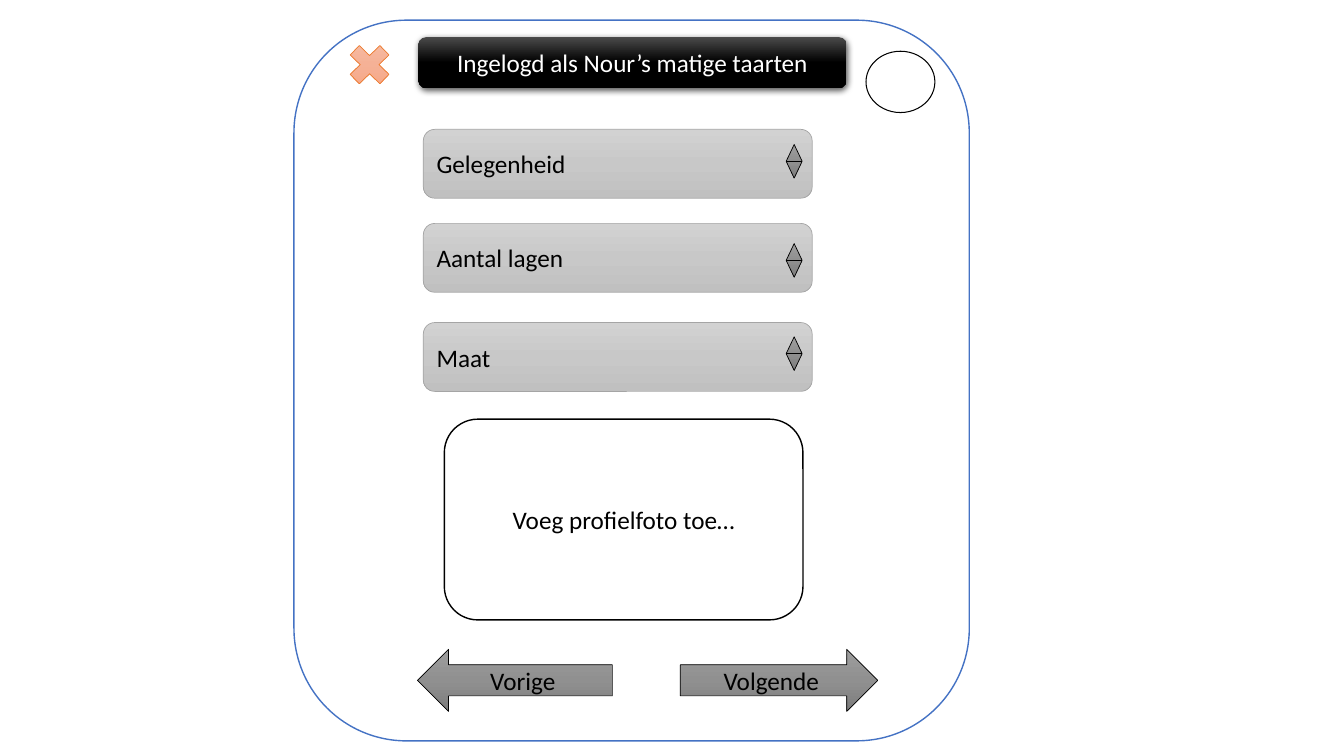
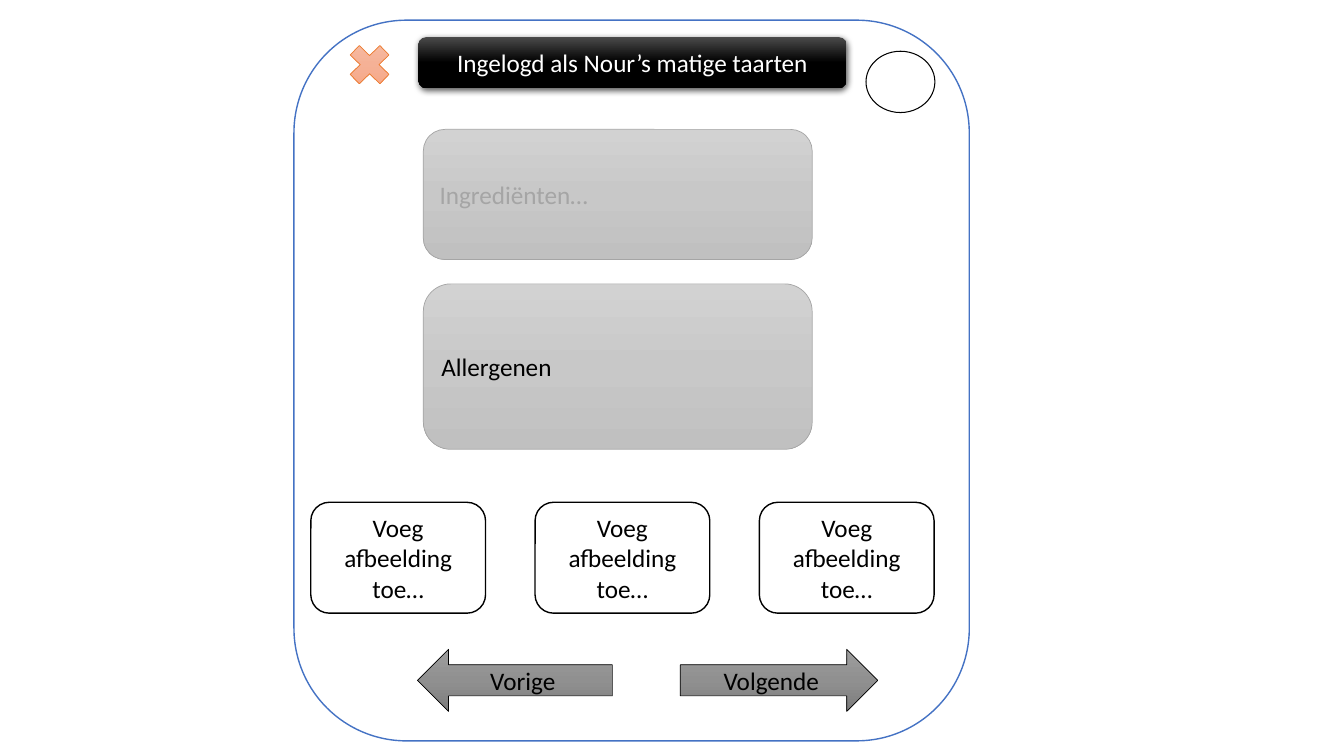
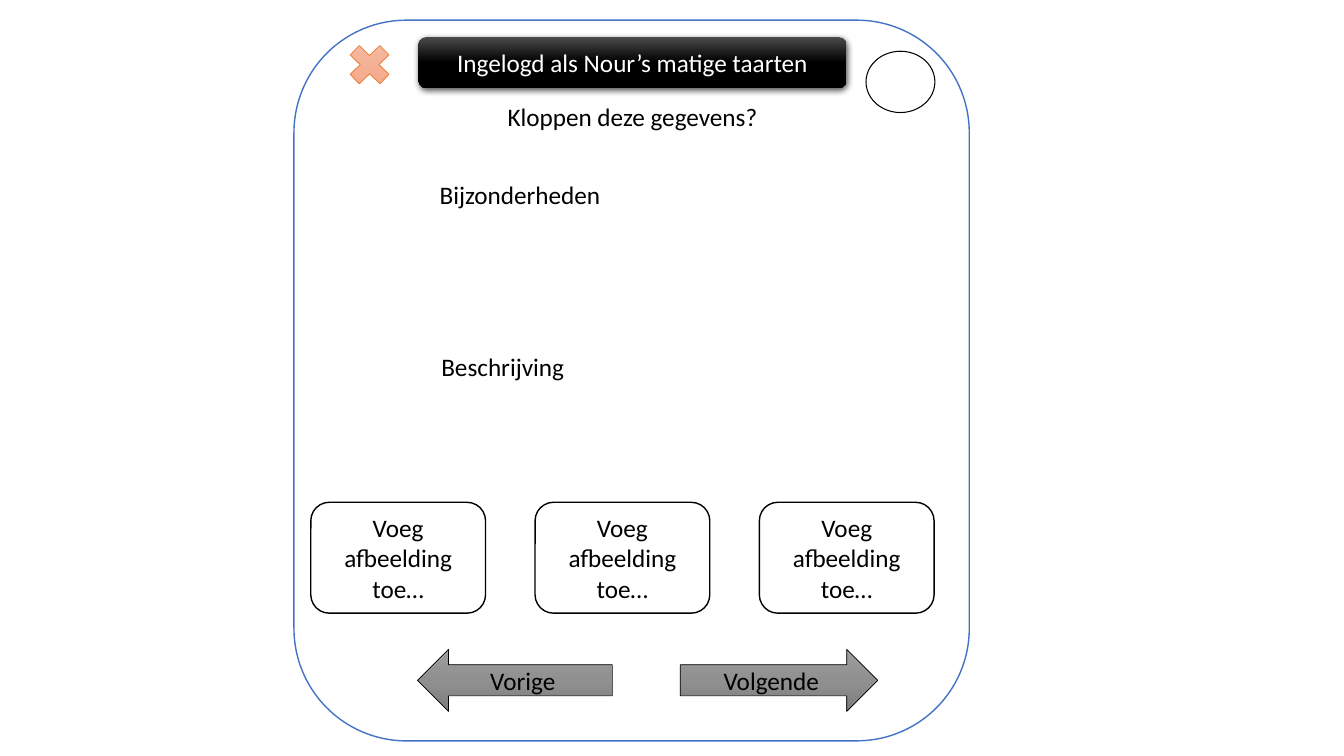
import copy
from dataclasses import dataclass

import lxml.etree
import pptx
import pptx.dml.color
import pptx.enum.shapes
import pptx.enum.text
import pptx.oxml.ns
import pptx.util

SHAPE = pptx.enum.shapes.MSO_SHAPE
ALIGN = pptx.enum.text.PP_ALIGN
QN = pptx.oxml.ns.qn

# Grid: square cells, 160 columns by 90 rows
COLUMNS, ROWS = 160, 90
CELL = pptx.util.Inches(7.5) / ROWS


@dataclass(frozen=True)
class Theme:
    font: str = "Calibri"
    size: int = 18
    black: str = "000000"
    white: str = "FFFFFF"
    hint: str = "A5A5A5"
    frame: str = "4472C4"
    accent: str = "ED7D31"
    header_fill: tuple = ("4B4B4B", "000000", "000000")
    field_fill: tuple = ("D2D2D2", "C8C8C8", "C0C0C0")
    button_fill: tuple = ("9D9D9D", "909090", "7C7C7C")
    close_fill: tuple = ("F7BDA5", "F5B196", "F8A582")
    hairline: float = 0.5
    thin: float = 0.75
    outline: float = 1


THEME = Theme()
FIELD_LEFT, FIELD_WIDTH = 50.4, 46.3
FIELD_TOP = 15.4


def rgb(value):
    return pptx.dml.color.RGBColor.from_string(value)


# Basic elements
def paint(shape, fill):
    """Fill with nothing, one colour, or a downward three-colour gradient."""
    if fill is None:
        shape.fill.background()
    elif isinstance(fill, str):
        shape.fill.solid()
        shape.fill.fore_color.rgb = rgb(fill)
    else:
        shape.fill.gradient()
        shape.fill.gradient_angle = 270
        stops = shape.element.spPr.find(".//" + QN("a:gsLst"))
        stops.append(copy.deepcopy(stops[-1]))
        for stop, colour, position in zip(shape.fill.gradient_stops, fill, (0, 0.5, 1)):
            stop.color.rgb = rgb(colour)
            stop.position = position


def write(shape, text, colour, align):
    frame = shape.text_frame
    frame.word_wrap = True
    frame.vertical_anchor = pptx.enum.text.MSO_ANCHOR.MIDDLE
    paragraph = frame.paragraphs[0]
    paragraph.alignment = align
    run = paragraph.add_run()
    run.text = text
    run.font.name = THEME.font
    run.font.size = pptx.util.Pt(THEME.size)
    run.font.color.rgb = rgb(colour)


def block(slide, kind, cells, fill=None, line=None, width=THEME.outline,
          text=None, colour=THEME.black, align=ALIGN.CENTER):
    """Place a shape by its left, top, width and height in grid cells."""
    shape = slide.shapes.add_shape(kind, *(round(n * CELL) for n in cells))
    shape.shadow.inherit = False
    paint(shape, fill)
    if line:
        shape.line.color.rgb = rgb(line)
        shape.line.width = pptx.util.Pt(width)
    else:
        shape.line.fill.background()
    if text:
        write(shape, text, colour, align)
    return shape


def cast_shadow(shape):
    effects = shape.element.spPr.find(QN("a:effectLst"))
    shadow = lxml.etree.SubElement(
        effects, QN("a:outerShdw"), blurRad=str(pptx.util.Pt(4.5)),
        dist=str(pptx.util.Pt(1.5)), dir="5400000", algn="ctr", rotWithShape="0")
    tint = lxml.etree.SubElement(shadow, QN("a:srgbClr"), val=THEME.black)
    lxml.etree.SubElement(tint, QN("a:alpha"), val="63000")


# Form elements
def field(slide, text, top, height, colour=THEME.black, filled=True):
    block(slide, SHAPE.ROUNDED_RECTANGLE, (FIELD_LEFT, top, FIELD_WIDTH, height),
          THEME.field_fill if filled else None, THEME.hint if filled else None,
          THEME.hairline, text, colour, ALIGN.LEFT)


def dropdown(slide, text, top, sorter_top):
    field(slide, text, top, 8.2)
    block(slide, SHAPE.FLOWCHART_SORT, (93.6, sorter_top, 1.9, 4),
          THEME.button_fill, THEME.black, THEME.hairline)


def upload_box(slide, text, cells):
    block(slide, SHAPE.ROUNDED_RECTANGLE, cells, THEME.white, THEME.black, text=text)


def image_uploads(slide):
    for place in range(3):
        upload_box(slide, "Voeg afbeelding toe…", (37 + 26.7 * place, 59.8, 20.8, 13.2))


# Parts every screen shares
def start_screen(deck):
    slide = deck.slides.add_slide(deck.slide_layouts[6])
    block(slide, SHAPE.ROUNDED_RECTANGLE, (35, 2.4, 80.4, 85.8), THEME.white, THEME.frame)
    header = block(slide, SHAPE.ROUNDED_RECTANGLE, (49.8, 4.4, 51, 6.1), THEME.header_fill,
                   text="Ingelogd als Nour’s matige taarten", colour=THEME.white)
    cast_shadow(header)
    return slide


def add_controls(slide):
    for kind, left, width, text in ((SHAPE.RIGHT_ARROW, 81, 23.5, "Volgende"),
                                    (SHAPE.LEFT_ARROW, 49.7, 23.2, "Vorige")):
        block(slide, kind, (left, 77.3, width, 7.4), THEME.button_fill,
              THEME.black, THEME.hairline, text)
    # Profile circle and close button
    block(slide, SHAPE.OVAL, (103.1, 6.1, 8.2, 7.3), line=THEME.black, width=THEME.thin)
    block(slide, SHAPE.MATH_MULTIPLY, (40.6, 4.4, 6.8, 6.6), THEME.close_fill,
          THEME.accent, THEME.hairline)


# Screens
def cake_screen(deck):
    slide = start_screen(deck)
    for text, top, sorter_top in (("Gelegenheid", FIELD_TOP, 17.2),
                                  ("Aantal lagen", 26.6, 29),
                                  ("Maat", 38.4, 40.1)):
        dropdown(slide, text, top, sorter_top)
    upload_box(slide, "Voeg profielfoto toe…", (52.9, 49.9, 42.7, 23.9))
    add_controls(slide)


def detail_screen(deck, upper, lower, upper_colour=THEME.black, filled=True, question=None):
    slide = start_screen(deck)
    field(slide, upper, FIELD_TOP, 15.5, upper_colour, filled)
    field(slide, lower, 33.8, 19.7, filled=filled)
    image_uploads(slide)
    if question:
        block(slide, SHAPE.ROUNDED_RECTANGLE, (51.7, 11.9, 47.2, 4), text=question)
    add_controls(slide)


def main():
    deck = pptx.Presentation()
    deck.slide_width = round(COLUMNS * CELL)
    deck.slide_height = round(ROWS * CELL)
    cake_screen(deck)
    detail_screen(deck, "Ingrediënten…", "Allergenen", upper_colour=THEME.hint)
    detail_screen(deck, "Bijzonderheden", "Beschrijving", filled=False,
                  question="Kloppen deze gegevens?")
    deck.save("out.pptx")


main()
